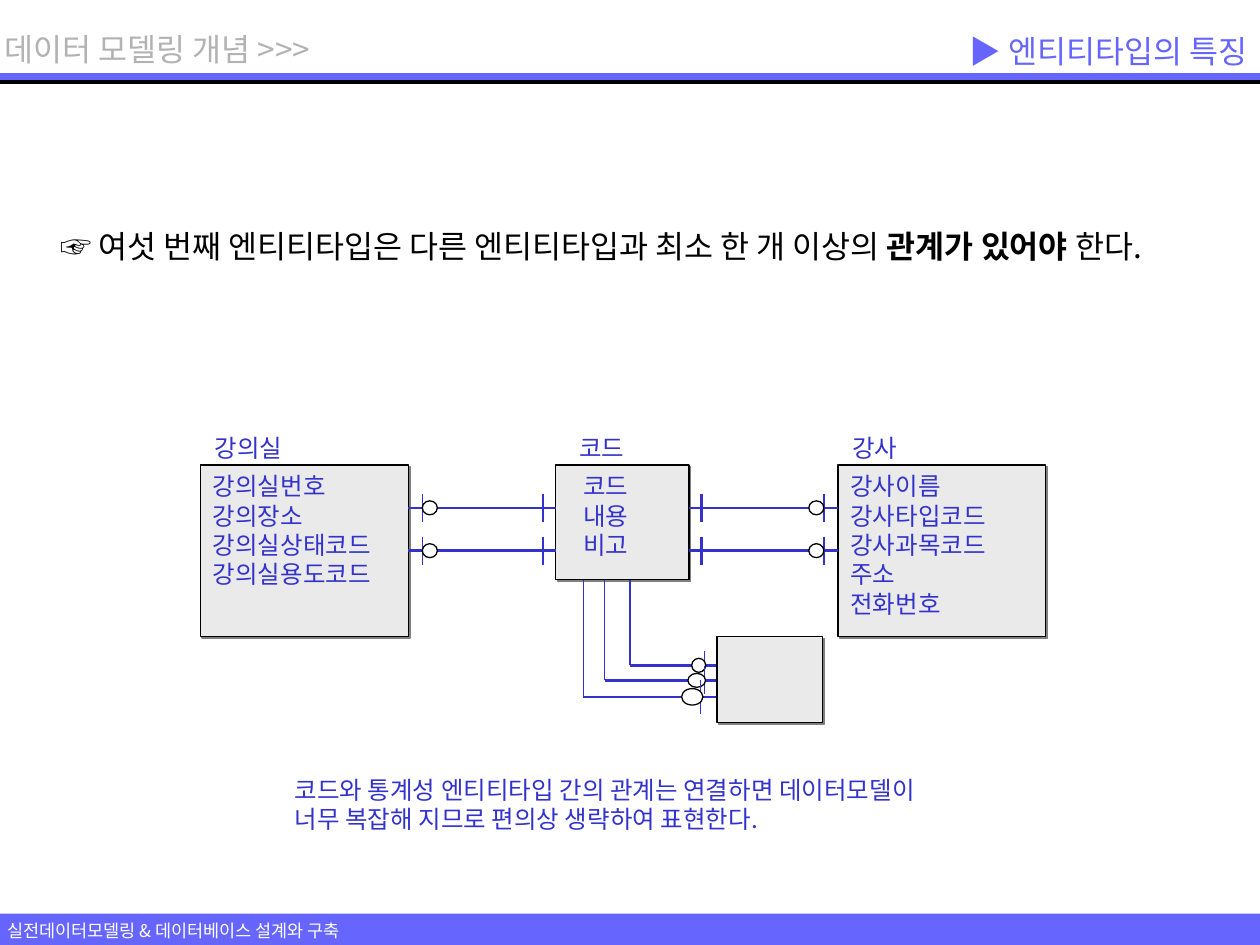
from pptx import Presentation
from pptx.dml.color import RGBColor
from pptx.enum import shapes, text
from pptx.oxml import ns, xmlchemy
from pptx.util import Pt

FONT = "Noto Sans CJK KR"
BLACK, WHITE, GREY = "000000", "FFFFFF", "EAEAEA"
BLUE, VIOLET = "3333CC", "6666FF"


def color(value):
    """Turn a hex string into a colour."""
    return RGBColor.from_string(value)


def element(tag, **attributes):
    """Make a drawing element with the given attributes."""
    node = xmlchemy.OxmlElement(tag)
    for name, value in attributes.items():
        node.set(name, str(value))
    return node


def write(shape, lines, size, ink, wrap=False, left_inset=7.2):
    """Fill a shape with paragraphs; a line is a list of (words, bold) or a string."""
    frame = shape.text_frame
    frame.word_wrap = wrap
    frame.vertical_anchor = text.MSO_ANCHOR.TOP
    frame.margin_left, frame.margin_right = Pt(left_inset), Pt(7.2)
    frame.margin_top = frame.margin_bottom = Pt(3.6)
    for index, line in enumerate(lines):
        paragraph = frame.add_paragraph() if index else frame.paragraphs[0]
        for words, bold in [(line, False)] if isinstance(line, str) else line:
            run = paragraph.add_run()
            run.text = words
            if bold:
                run.font.bold = True
        paragraph.alignment = text.PP_ALIGN.LEFT
        paragraph.font.name = FONT
        paragraph.font.size = Pt(size)
        paragraph.font.color.rgb = color(ink)
        defaults = paragraph._p.pPr.find(ns.qn("a:defRPr"))
        defaults.find(ns.qn("a:latin")).addnext(element("a:ea", typeface=FONT))
    return frame


def add_label(slide, left, top, width, height, lines, size, ink):
    """Add an unwrapped text box that fits its text."""
    label = slide.shapes.add_textbox(Pt(left), Pt(top), Pt(width), Pt(height))
    write(label, lines, size, ink).auto_size = text.MSO_AUTO_SIZE.SHAPE_TO_FIT_TEXT


def add_figure(slide, kind, left, top, width, height, fill, outline=None):
    """Add a filled preset shape, outlined when a colour is given."""
    figure = slide.shapes.add_shape(kind, Pt(left), Pt(top), Pt(width), Pt(height))
    figure.shadow.inherit = False
    figure.fill.solid()
    figure.fill.fore_color.rgb = color(fill)
    if outline:
        figure.line.color.rgb = color(outline)
        figure.line.width = Pt(0.75)
    else:
        figure.line.fill.background()
    return figure


def add_line(slide, x1, y1, x2, y2, ink=BLUE, weight=0.75):
    """Add a straight line."""
    line = slide.shapes.add_connector(
        shapes.MSO_CONNECTOR.STRAIGHT, Pt(x1), Pt(y1), Pt(x2), Pt(y2))
    line.line.color.rgb = color(ink)
    line.line.width = Pt(weight)
    line._element.spPr.append(element("a:effectLst"))


def add_header(slide, width):
    """Add the chapter name, the slide title and the rules below them."""
    add_figure(slide, shapes.MSO_SHAPE.RECTANGLE, 0, 41.8, width, 4.3, VIOLET)
    for y in (46.1, 46.8, 47.5):
        add_line(slide, 0, y, width, y, BLACK)
    add_label(slide, -4.3, 13.7, 204.5, 28.8, ["데이터 모델링 개념 >>>"], 18, "B2B2B2")
    title = slide.shapes.title
    title.left, title.top = Pt(width / 2), Pt(13.7)
    title.width, title.height = Pt(width / 2), Pt(31)
    frame = write(title, ["▶ 엔티티타입의 특징"], 18, VIOLET)
    frame.vertical_anchor = text.MSO_ANCHOR.MIDDLE
    frame.paragraphs[0].alignment = text.PP_ALIGN.RIGHT


def add_footer(slide, top, width, height):
    """Add the coloured strip with the book name."""
    add_figure(slide, shapes.MSO_SHAPE.RECTANGLE, 0, top, width, height, VIOLET)
    add_label(slide, -2.9, top, 226, 19.4,
              ["실전데이터모델링 & 데이터베이스 설계와 구축"], 10, WHITE)


def add_statement(slide, left, top, width, height):
    """Add the main sentence."""
    box = add_figure(slide, shapes.MSO_SHAPE.RECTANGLE, left, top, width, height, WHITE)
    write(box, [[("☞ 여섯 번째 엔티티타입은 다른 엔티티타입과 최소 한 개 이상의 ", False),
                 ("관계가 있어야 ", True), ("한다.", False)]], 18, BLACK, wrap=True)


def add_entity(slide, left, top, width, height, name="", attributes=(),
               name_offset=1, left_inset=7.2):
    """Add an entity box with its attributes inside and its name above."""
    box = add_figure(slide, shapes.MSO_SHAPE.RECTANGLE, left, top, width, height, GREY, BLACK)
    shadow = element("a:outerShdw", blurRad=0, dist=Pt(1.4), dir=45 * 60000,
                     algn="ctr", rotWithShape=0)
    shadow.append(element("a:srgbClr", val="808080"))
    box._element.spPr.find(ns.qn("a:effectLst")).append(shadow)
    if attributes:
        write(box, attributes, 14, BLUE, wrap=True, left_inset=left_inset)
    if name:
        add_label(slide, left + name_offset, top - 21.6, 14.4 + 13 * len(name), 24.5,
                  [name], 14, BLUE)


def add_relationship(slide, entity_x, code_x, y):
    """Join an entity to the code entity: optional end at entity, mandatory at code."""
    direction = 1 if code_x > entity_x else -1
    bar_x = code_x - 7.2 * direction
    tick_x = entity_x + 8 * direction
    circle_x = tick_x + 4.3 * direction
    add_line(slide, entity_x, y, code_x, y, weight=1.5)
    add_line(slide, bar_x, y - 8, bar_x, y + 8, weight=1.5)
    add_line(slide, tick_x, y - 8, tick_x, y + 8)
    add_figure(slide, shapes.MSO_SHAPE.OVAL, circle_x - 4.3, y - 4, 8.6, 8, WHITE, BLACK)


def add_branch(slide, trunk_x, top, y, end_x, tick_x, tick, circle_x, width, height):
    """Drop a line from the code entity and turn it to the right."""
    add_line(slide, trunk_x, top, trunk_x, y)
    add_line(slide, trunk_x, y, end_x, y, weight=1.5)
    add_line(slide, tick_x, y - tick / 2, tick_x, y + tick / 2)
    add_figure(slide, shapes.MSO_SHAPE.OVAL, circle_x, y - height / 2, width, height,
               WHITE, BLACK)


def add_diagram(slide, left, top):
    """Add the entities and the relationships between them."""
    side_width, code_width = 118.8, 76.3
    code_left, right_left = left + 203, left + 364.3
    add_entity(slide, left, top, side_width, 98, "강의실",
               ["강의실번호", "강의장소", "강의실상태코드", "강의실용도코드"])
    add_entity(slide, code_left, top, code_width, 65.5, "코드", ["코드", "내용", "비고"],
               name_offset=6.5, left_inset=15.9)
    add_entity(slide, right_left, top, side_width, 98, "강사",
               ["강사이름", "강사타입코드", "강사과목코드", "주소", "전화번호"])
    for y in (top + 24.5, top + 49):
        add_relationship(slide, left + side_width, code_left, y)
        add_relationship(slide, right_left, code_left + code_width, y)
    branches = [(42.5, 114.5, 85, 15.9, 77.8, 8, 8),
                (28.1, 123.1, 85, 15.9, 75.6, 10.1, 8),
                (15.8, 132.5, 82.8, 19.4, 72, 12.2, 9.4)]
    for trunk, drop, tick_x, tick, circle_x, width, height in branches:
        add_branch(slide, code_left + trunk, top + 65.5, top + drop, code_left + 94,
                   code_left + tick_x, tick, code_left + circle_x, width, height)
    add_entity(slide, code_left + 92.2, top + 98, 60.5, 49)


def main():
    """Build the slide and save it."""
    presentation = Presentation()
    presentation.slide_width, presentation.slide_height = Pt(720), Pt(540)
    slide = presentation.slides.add_slide(presentation.slide_layouts[5])
    add_footer(slide, 522, 720, 18)
    add_header(slide, 720)
    add_statement(slide, 27.4, 126, 666, 50.4)
    add_diagram(slide, 114.5, 265.7)
    add_label(slide, 161.3, 439.2, 398.9, 41,
              ["코드와 통계성 엔티티타입 간의 관계는 연결하면 데이터모델이",
               "너무 복잡해 지므로 편의상 생략하여 표현한다."], 14, BLUE)
    presentation.save("out.pptx")


if __name__ == "__main__":
    main()
